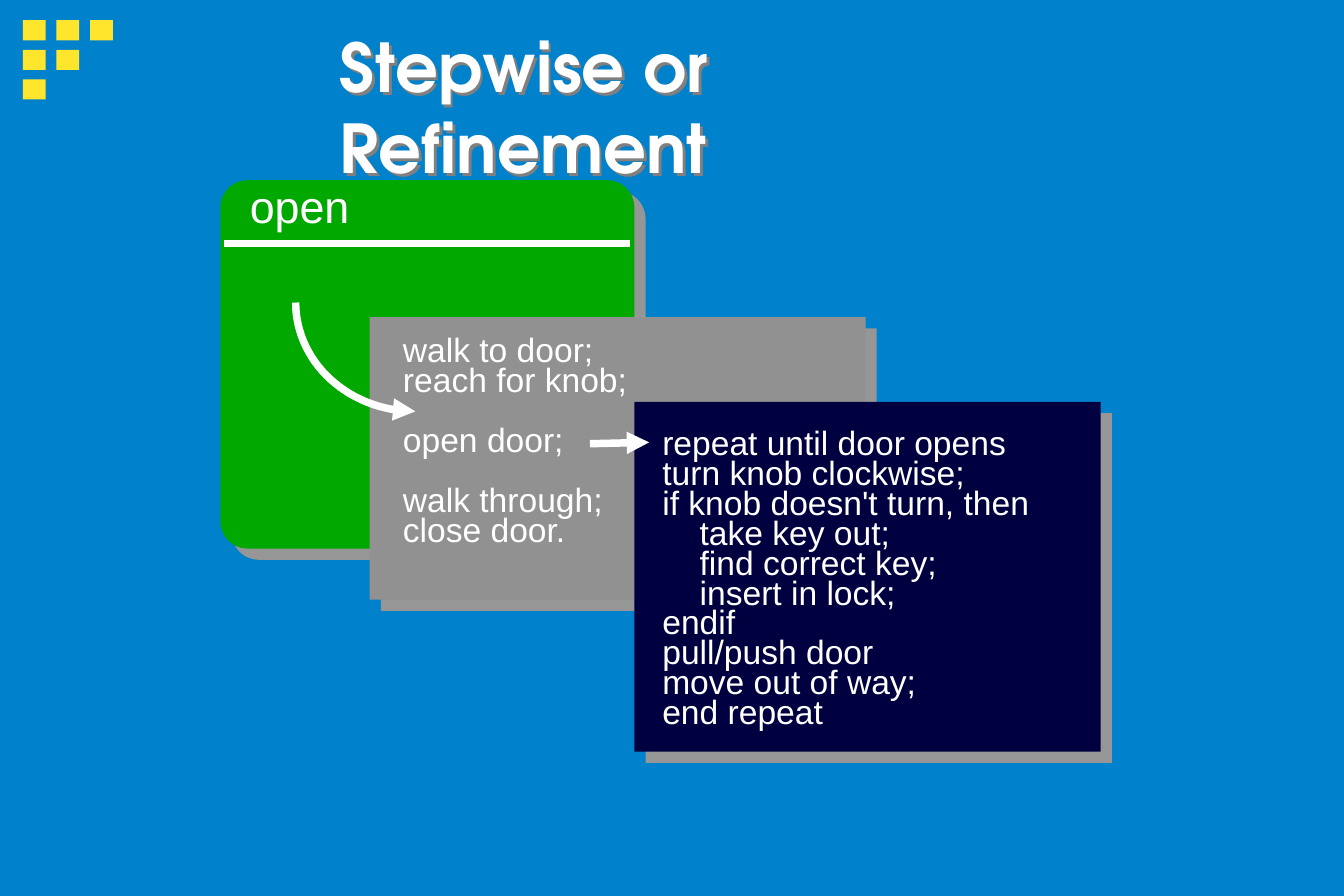
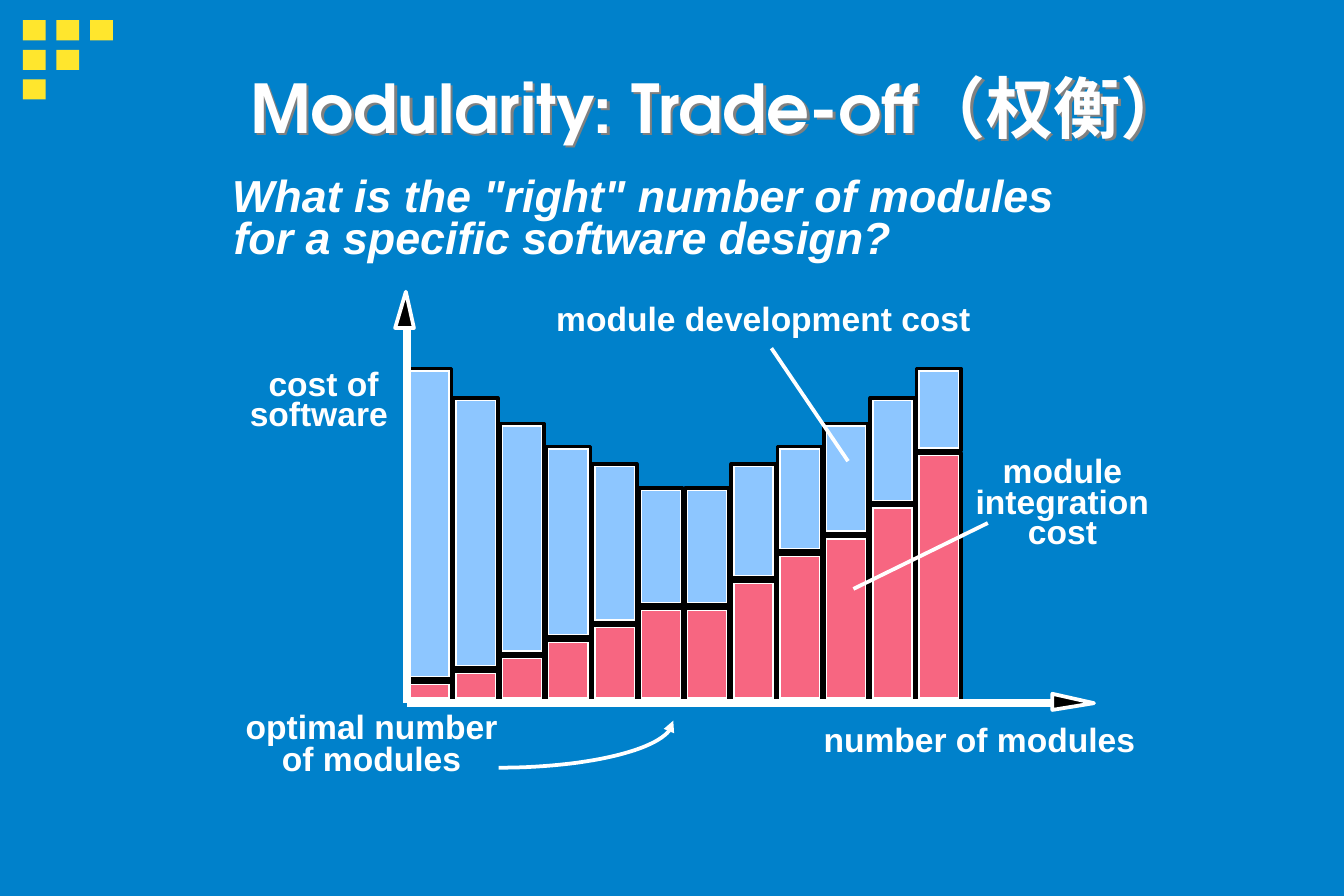
import math

from lxml import etree
from pptx import Presentation
from pptx.dml.color import RGBColor
from pptx.enum import shapes, text
from pptx.oxml import ns
from pptx.util import Inches, Pt

BLUE = RGBColor(0x00, 0x81, 0xCB)
YELLOW = RGBColor(0xFF, 0xE6, 0x2D)
WHITE = RGBColor(0xFF, 0xFF, 0xFF)
BLACK = RGBColor(0x00, 0x00, 0x00)
GREEN = RGBColor(0x00, 0xA8, 0x00)
GRAY = RGBColor(0x91, 0x91, 0x91)
SHADOW = RGBColor(0x96, 0x96, 0x96)
TITLE_SHADOW = RGBColor(0x80, 0x80, 0x80)
NAVY = RGBColor(0x00, 0x00, 0x40)
LIGHT_BLUE = RGBColor(0x8D, 0xC6, 0xFF)
PINK = RGBColor(0xF7, 0x66, 0x81)

BODY_FONT = "Arial"
TITLE_FONT = "TeX Gyre Adventor"
RECTANGLE = shapes.MSO_SHAPE.RECTANGLE
ROUNDED = shapes.MSO_SHAPE.ROUNDED_RECTANGLE
ROW_PITCH = 2 / 9


def inches(*lengths):
    return [Inches(length) for length in lengths]


def add_shadow(shape, color, distance):
    """Give a shape a hard shadow that falls to the lower right."""
    shape.shadow.inherit = False
    effects = shape._element.spPr.find(ns.qn("a:effectLst"))
    shadow = etree.SubElement(effects, ns.qn("a:outerShdw"), dist=str(Pt(distance)),
                              dir="2700000", algn="ctr", rotWithShape="0")
    etree.SubElement(shadow, ns.qn("a:srgbClr"), val=str(color))


def add_arrowhead(line):
    etree.SubElement(line._get_or_add_ln(), ns.qn("a:tailEnd"), type="triangle")


def paint(shape, fill=None, line=None, width=2):
    if fill is None:
        shape.fill.background()
    else:
        shape.fill.solid()
        shape.fill.fore_color.rgb = fill
    if line is None:
        shape.line.fill.background()
    else:
        shape.line.color.rgb = line
        shape.line.width = Pt(width)
    shape.shadow.inherit = False


def add_block(page, box, fill=None, line=None, kind=RECTANGLE):
    shape = page.shapes.add_shape(kind, *inches(*box))
    paint(shape, fill, line)
    return shape


def add_line(page, start, end, width, arrow=False):
    line = page.shapes.add_connector(shapes.MSO_CONNECTOR.STRAIGHT, *inches(*start, *end))
    line.line.color.rgb = WHITE
    line.line.width = Pt(width)
    if arrow:
        add_arrowhead(line.line)
    etree.SubElement(line._element.spPr, ns.qn("a:effectLst"))


def add_outline(page, points, closed):
    corners = [tuple(inches(*point)) for point in points]
    builder = page.shapes.build_freeform(*corners[0])
    builder.add_line_segments(corners[1:], close=closed)
    return builder.convert_to_shape()


def add_curved_arrow(page, center, radii, start, end, width):
    """Draw an elliptical arc between two angles in degrees, arrow at its end."""
    steps = 30
    points = []
    for step in range(steps + 1):
        angle = math.radians(start + (end - start) * step / steps)
        points.append((center[0] + radii[0] * math.cos(angle),
                       center[1] + radii[1] * math.sin(angle)))
    curve = add_outline(page, points, closed=False)
    paint(curve, line=WHITE, width=width)
    add_arrowhead(curve.line)


def add_label(page, box, words, size=18, bold=False, italic=False,
              align=text.PP_ALIGN.LEFT, spacing=None):
    label = page.shapes.add_textbox(*inches(*box))
    frame = label.text_frame
    frame.word_wrap = True
    frame.text = words
    for para in frame.paragraphs:
        para.alignment = align
        para.line_spacing = spacing
        for span in para.runs:
            span.font.size = Pt(size)
            span.font.name = BODY_FONT
            span.font.bold = bold
            span.font.italic = italic
            span.font.color.rgb = WHITE
    return label


def add_title(page, box, words):
    title = add_label(page, box, words, size=36, bold=True)
    frame = title.text_frame
    frame.margin_left = frame.margin_right = Inches(0.07)
    frame.margin_top = frame.margin_bottom = Inches(0.03)
    frame.vertical_anchor = text.MSO_ANCHOR.TOP
    frame.paragraphs[0].runs[0].font.name = TITLE_FONT
    add_shadow(title, TITLE_SHADOW, 2)


def new_page(deck):
    """Add a blue page with the corner triangle of yellow squares."""
    page = deck.slides.add_slide(deck.slide_layouts[6])
    page.background.fill.solid()
    page.background.fill.fore_color.rgb = BLUE
    for row in range(3):
        for column in range(3 - row):
            add_block(page, (0.17 + 0.25 * column, 0.15 + 0.22 * row, 0.17, 0.15), YELLOW)
    return page


def add_panel(page, box, fill, kind=RECTANGLE):
    panel = add_block(page, box, fill, kind=kind)
    add_shadow(panel, SHADOW, 8.5)
    return panel


def add_code_panel(page, box, fill, inset, rows):
    """Draw a panel of code lines; each row is (row number, width, words)."""
    add_panel(page, box, fill)
    for row, width, words in rows:
        top = box[1] + inset[1] + ROW_PITCH * row
        add_label(page, (box[0] + inset[0], top, width + 0.04, 0.4), words)


def add_open_panel(page, box):
    left, top, width, _ = box
    add_panel(page, box, GREEN, ROUNDED).adjustments[0] = 0.074
    add_line(page, (left + 0.03, top + 0.47), (left + width - 0.03, top + 0.47), 4)
    add_label(page, (left + 0.12, top - 0.06, 0.98, 0.5), "open", size=24)


def build_refinement(deck):
    page = new_page(deck)
    add_title(page, (2.46, 0.16, 5.67, 1.26), "Stepwise or Refinement")
    add_open_panel(page, (1.64, 1.34, 3.08, 2.74))
    add_code_panel(page, (2.75, 2.36, 3.69, 2.1), GRAY, (0.15, 0.04), [
        (0, 1.62, "walk to door;"),
        (1, 1.87, "reach for knob;"),
        (3, 1.39, "open door;"),
        (5, 1.69, "walk through;"),
        (6, 1.42, "close door."),
    ])
    add_code_panel(page, (4.72, 2.99, 3.47, 2.6), NAVY, (0.11, 0.1), [
        (0, 2.76, "repeat until door opens"),
        (1, 2.45, "turn knob clockwise;"),
        (2, 2.93, "if knob doesn't turn, then"),
        (3, 1.89, "    take key out;"),
        (4, 2.24, "    find correct key;"),
        (5, 1.94, "    insert in lock;"),
        (6, 0.74, "endif"),
        (7, 1.78, "pull/push door"),
        (8, 2.09, "move out of way;"),
        (9, 1.39, "end repeat"),
    ])
    add_line(page, (4.39, 3.3), (4.83, 3.29), 4, arrow=True)
    add_curved_arrow(page, (3.09, 2.25), (0.89, 0.81), 180, 90, 4)


def add_bar(page, box, fill):
    """Draw a white-edged bar inside a black frame."""
    left, top, width, height = box
    add_block(page, (left + 0.01, top + 0.01, width - 0.02, height - 0.02), fill, WHITE)
    add_block(page, box, line=BLACK)


def add_cost_bars(page, left, base):
    falling = [2.47, 2.25, 2.06, 1.89, 1.76, 1.58]
    total_costs = falling + falling[::-1]
    integration_costs = [0.14, 0.22, 0.33, 0.45, 0.56, 0.69,
                         0.69, 0.89, 1.09, 1.22, 1.45, 1.84]
    pitch, width, gap = 3.79 / 11, 0.33, 0.02
    for column, (total, integration) in enumerate(zip(total_costs, integration_costs)):
        bar_left = left + pitch * column
        development = total - integration - gap
        add_bar(page, (bar_left, base - total, width, development), LIGHT_BLUE)
        add_bar(page, (bar_left, base - integration, width, integration), PINK)


def add_axes(page, left, base):
    right, top = left + 4.8, base - 2.79
    heads = [
        [(right + 0.31, base), (right, base + 0.05), (right, base - 0.07)],
        [(left - 0.01, top - 0.27), (left + 0.05, top), (left - 0.09, top)],
    ]
    for points in heads:
        paint(add_outline(page, points, closed=True), BLACK, WHITE)
    add_line(page, (left, base), (right, base), 4)
    add_line(page, (left, base), (left, top), 4)


def build_tradeoff(deck):
    page = new_page(deck)
    add_title(page, (1.79, 0.46, 7.85, 0.76), "Modularity: Trade-off（权衡）")
    for box, words in [
        ((1.63, 1.2, 6.44, 0.5), 'What is the "right" number of modules'),
        ((1.64, 1.51, 5.13, 0.5), "for a specific software design?"),
    ]:
        add_label(page, box, words, size=24, bold=True, italic=True)
    add_cost_bars(page, 3.03, 5.21)
    add_axes(page, 3.03, 5.23)
    for box, words in [
        ((1.73, 5.2, 2.11, 0.4), "optimal number"),
        ((2, 5.44, 1.6, 0.4), "of modules"),
        ((1.9, 2.65, 1.1, 0.4), "cost of"),
        ((1.76, 2.87, 1.28, 0.4), "software"),
        ((6.03, 5.3, 2.56, 0.4), "number of modules"),
        ((4.04, 2.17, 3.39, 0.4), "module development cost"),
    ]:
        add_label(page, box, words, bold=True)
    add_label(page, (7.16, 3.37, 1.49, 0.77), "module\nintegration\ncost", bold=True,
              align=text.PP_ALIGN.CENTER, spacing=0.75)
    add_line(page, (5.74, 2.59), (6.31, 3.43), 2)
    add_line(page, (7.35, 3.89), (6.35, 4.38), 2)
    add_curved_arrow(page, (3.71, 5.36), (1.3, 0.35), 90, 0, 2)


def main():
    deck = Presentation()
    deck.slide_width, deck.slide_height = Inches(10), Pt(479.8)
    build_refinement(deck)
    build_tradeoff(deck)
    deck.save("out.pptx")


if __name__ == "__main__":
    main()
